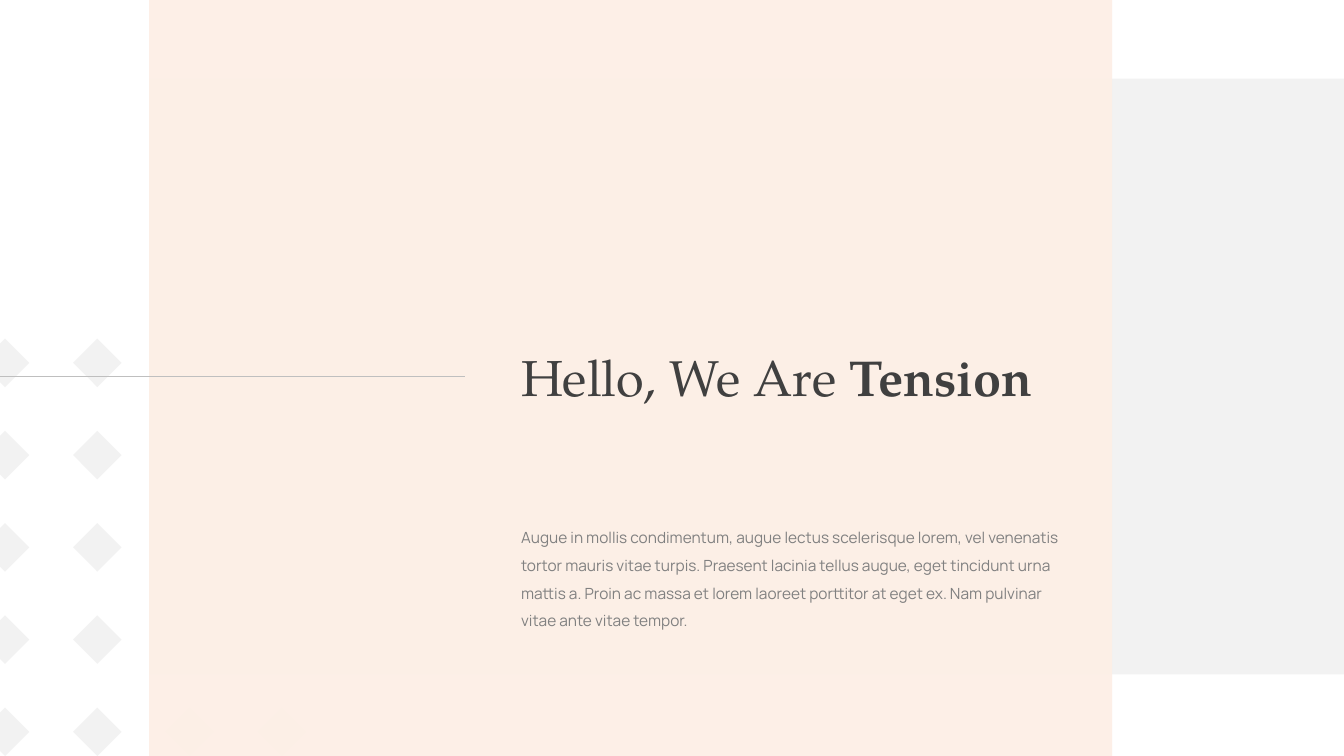
from dataclasses import dataclass

from lxml import etree
from pptx import Presentation
from pptx.dml.color import RGBColor
from pptx.enum.shapes import MSO_CONNECTOR, MSO_SHAPE
from pptx.enum.text import MSO_AUTO_SIZE
from pptx.oxml.ns import qn
from pptx.util import Inches, Pt

RECT = MSO_SHAPE.RECTANGLE
DIAMOND = MSO_SHAPE.DIAMOND
STRAIGHT = MSO_CONNECTOR.STRAIGHT
GROW = MSO_AUTO_SIZE.SHAPE_TO_FIT_TEXT


@dataclass(frozen=True)
class Theme:
    gray: str = "F2F2F2"
    peach: str = "FDEFE6"
    rule: str = "BFBFBF"
    dark: str = "404040"
    muted: str = "808080"
    serif: str = "TeX Gyre Pagella"
    sans: str = "Manrope"
    title: float = 36
    body: float = 11
    hair: float = 0.5


class Painter:
    def __init__(self, slide, theme):
        self.slide = slide
        self.theme = theme

    def shape(self, kind, left, top, width, height, color, alpha=None, parent=None):
        shapes = (parent or self.slide).shapes
        item = shapes.add_shape(
            kind, Inches(left), Inches(top), Inches(width), Inches(height)
        )
        item.shadow.inherit = False
        item.fill.solid()
        item.fill.fore_color.rgb = RGBColor.from_string(color)
        item.line.fill.background()
        if alpha is not None:
            tint = item.fill._xPr.find(".//" + qn("a:srgbClr"))
            etree.SubElement(tint, qn("a:alpha")).set("val", str(alpha * 1000))
        return item

    def grid(self, left, top, step, size, rows, cols):
        group = self.slide.shapes.add_group_shape()
        for row in range(rows):
            for col in range(cols):
                self.shape(
                    DIAMOND, left + col * step, top + row * step,
                    size, size, self.theme.gray, parent=group,
                )

    def line(self, start, end, top):
        item = self.slide.shapes.add_connector(
            STRAIGHT, Inches(start), Inches(top), Inches(end), Inches(top)
        )
        item.line.color.rgb = RGBColor.from_string(self.theme.rule)
        item.line.width = Pt(self.theme.hair)
        etree.SubElement(item._element.spPr, qn("a:effectLst"))

    def text(self, left, top, width, height, runs, face, size, color, spacing=None):
        box = self.slide.shapes.add_textbox(
            Inches(left), Inches(top), Inches(width), Inches(height)
        )
        frame = box.text_frame
        frame.word_wrap = True
        frame.auto_size = GROW
        para = frame.paragraphs[0]
        if spacing is not None:
            para.line_spacing = spacing
        for words, bold in runs:
            run = para.add_run()
            run.text = words
            run.font.name = face
            run.font.size = Pt(size)
            run.font.bold = bold
            run.font.color.rgb = RGBColor.from_string(color)


def main():
    deck = Presentation()
    deck.slide_width = Inches(13.33)
    deck.slide_height = Inches(7.5)
    theme = Theme()
    paint = Painter(deck.slides.add_slide(deck.slide_layouts[6]), theme)

    paint.shape(RECT, 1.48, 0.78, 11.85, 5.91, theme.gray)
    paint.grid(left=-0.19, top=3.36, step=3.66 / 4, size=0.48, rows=5, cols=4)
    paint.shape(RECT, 1.48, 0, 9.55, 7.5, theme.peach, alpha=95)
    paint.line(0, 4.61, 3.73)

    title = [("Hello, We Are ", False), ("Tension", True)]
    paint.text(5.07, 3.38, 5.54, 0.71, title, theme.serif, theme.title, theme.dark)

    body = (
        "Augue in mollis condimentum, augue lectus scelerisque lorem, "
        "vel venenatis tortor mauris vitae turpis. Praesent lacinia tellus "
        "augue, eget tincidunt urna mattis a. Proin ac massa et lorem laoreet "
        "porttitor at eget ex. Nam pulvinar vitae ante vitae tempor."
    )
    paint.text(
        5.07, 5.1, 5.54, 1.21, [(body, False)],
        theme.sans, theme.body, theme.muted, spacing=1.5,
    )
    deck.save("out.pptx")


if __name__ == "__main__":
    main()
